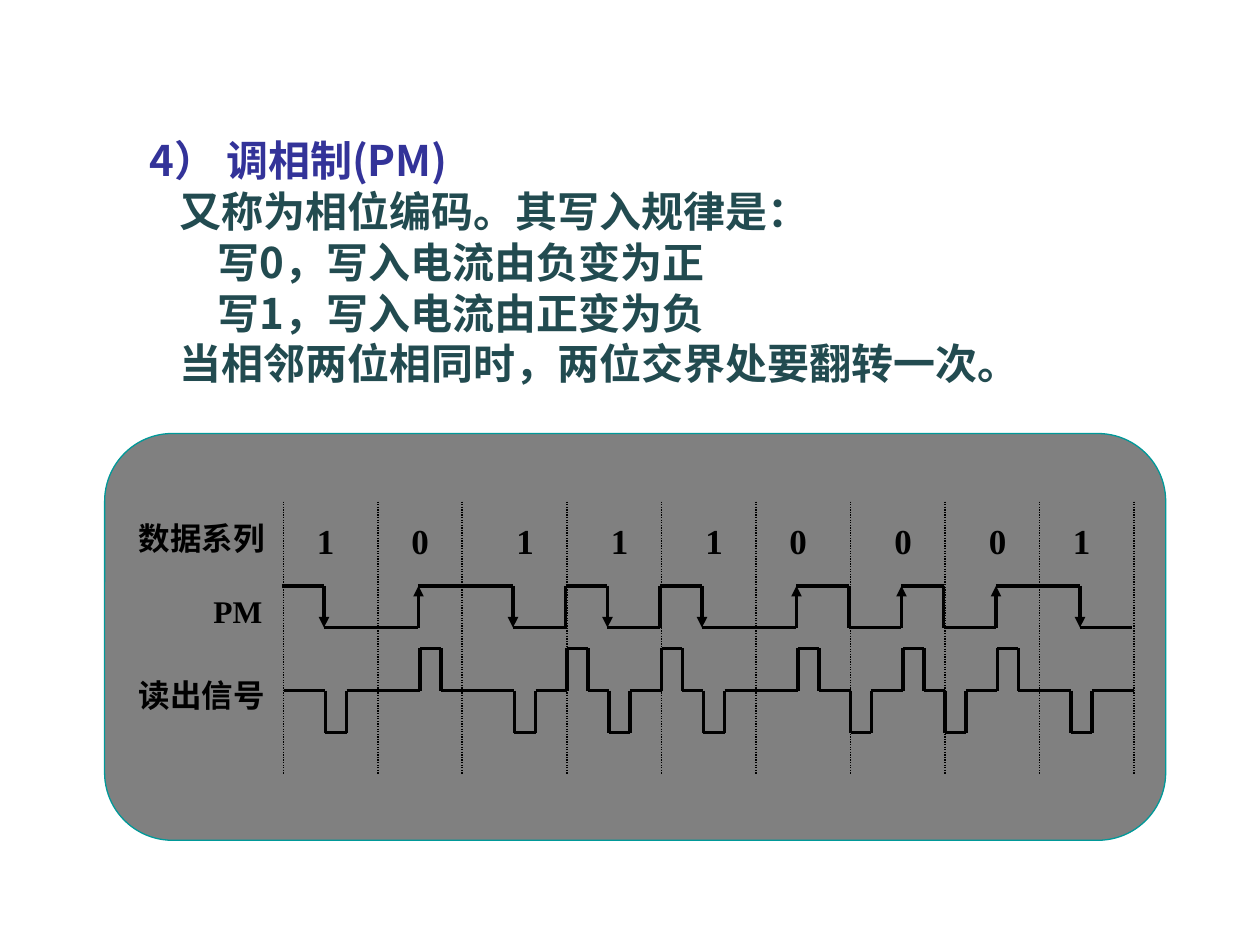
import pptx
import pptx.dml.color
import pptx.enum.dml
import pptx.enum.shapes
import pptx.enum.text
import pptx.oxml.ns
import pptx.util
from pptx.util import Cm

COLORS = {
    "heading": "333399",
    "body": "224B50",
    "ink": "000000",
    "panel": "808080",
    "panel_edge": "009999",
}
SANS, SERIF = "Noto Sans CJK SC", "Times New Roman"

# The timing diagram lies on a grid of twelfths of an inch.
UNIT = 2.54 / 12
LEFT = 27 * UNIT
CELL_EDGES = [0, 9, 17, 27, 36, 45, 54, 63, 72, 81]
DIGITS = [(2, "1"), (11, "0"), (21, "1"), (30, "1"), (39, "1"),
          (47, "0"), (57, "0"), (66, "0"), (74, "1")]
DATA_FLIPS = [4, 13, 22, 31, 40, 49, 59, 68, 76]
BOUNDARY_FLIPS = [27, 36, 54, 63]
PM_HIGH, PM_LOW = 11.81, 12.65
READ_BASE, PULSE_HEIGHT, PULSE_WIDTH = 13.92, 0.85, 2


def rgb(name):
    return pptx.dml.color.RGBColor.from_string(COLORS[name])


def grid_x(units):
    return LEFT + units * UNIT


class SlideBuilder:
    """Holds the shared style and the slide being filled; lengths are in cm."""

    def __init__(self, slide, ink="ink", line_width=2):
        self.slide = slide
        self.ink = ink
        self.line_width = line_width

    def panel(self, left, top, width, height):
        shape = self.slide.shapes.add_shape(
            pptx.enum.shapes.MSO_SHAPE.FLOWCHART_ALTERNATE_PROCESS,
            Cm(left), Cm(top), Cm(width), Cm(height))
        shape.shadow.inherit = False
        shape.fill.solid()
        shape.fill.fore_color.rgb = rgb("panel")
        shape.line.color.rgb = rgb("panel_edge")
        shape.line.width = pptx.util.Pt(0.75)

    def line(self, start, end, width=None, dash=None, arrow=False):
        connector = self.slide.shapes.add_connector(
            pptx.enum.shapes.MSO_CONNECTOR.STRAIGHT,
            Cm(start[0]), Cm(start[1]), Cm(end[0]), Cm(end[1]))
        connector.line.color.rgb = rgb(self.ink)
        connector.line.width = pptx.util.Pt(width or self.line_width)
        if dash:
            connector.line.dash_style = dash
        if arrow:
            tail = pptx.oxml.parse_xml(
                f'<a:tailEnd {pptx.oxml.ns.nsdecls("a")} type="triangle"/>')
            connector.line._get_or_add_ln().append(tail)
        connector._element.spPr.append(
            pptx.oxml.parse_xml(f'<a:effectLst {pptx.oxml.ns.nsdecls("a")}/>'))

    def trace(self, points, arrow_xs=()):
        """Join points; upright segments at arrow_xs end in an arrowhead."""
        for start, end in zip(points, points[1:]):
            arrow = start[0] == end[0] and start[0] in arrow_xs
            self.line(start, end, arrow=arrow)

    def text_box(self, left, top, width, height, wrap=False):
        box = self.slide.shapes.add_textbox(
            Cm(left), Cm(top), Cm(width), Cm(height))
        box.text_frame.word_wrap = wrap
        return box.text_frame

    def label(self, text, left, top, width, height, size=18, align="RIGHT"):
        frame = self.text_box(left, top, width, height)
        write(frame.paragraphs[0], text, size=size, font=SERIF, align=align)


def write(paragraph, text, size=24, font=SANS, color="ink", align="LEFT",
          indent=0, spacing=None):
    paragraph.alignment = getattr(pptx.enum.text.PP_ALIGN, align)
    properties = paragraph._p.get_or_add_pPr()
    properties.set("marL", str(Cm(indent)))
    properties.set("indent", "0")
    if spacing:
        paragraph.line_spacing = pptx.util.Pt(spacing)
    run = paragraph.add_run()
    run.text = text
    run.font.size = pptx.util.Pt(size)
    run.font.bold = True
    run.font.name = font
    run.font.color.rgb = rgb(color)
    east_asian = pptx.oxml.parse_xml(
        f'<a:ea {pptx.oxml.ns.nsdecls("a")} typeface="{SANS}"/>')
    run.font._element.append(east_asian)


def add_explanation(builder):
    frame = builder.text_box(2.77, 2.59, 20.4, 6.2, wrap=True)
    lines = [
        ("4） 调相制(PM)", "heading", 0),
        ("又称为相位编码。其写入规律是：", "body", 0.6),
        ("写0，写入电流由负变为正", "body", 1.37),
        ("写1，写入电流由正变为负", "body", 1.37),
        ("当相邻两位相同时，两位交界处要翻转一次。", "body", 0.6),
    ]
    for index, (text, color, indent) in enumerate(lines):
        paragraph = frame.add_paragraph() if index else frame.paragraphs[0]
        write(paragraph, text, color=color, indent=indent, spacing=29)


def add_grid(builder):
    for edge in CELL_EDGES:
        builder.line((grid_x(edge), 10.11), (grid_x(edge), 15.62), width=0.75,
                     dash=pptx.enum.dml.MSO_LINE.ROUND_DOT)
    for left, digit in DIGITS:
        builder.label(digit, grid_x(left), 10.34, 0.86, 1.12, size=20,
                      align="LEFT")


def add_waveforms(builder):
    shift = -0.03
    level, other = PM_HIGH, PM_LOW
    pm_points = [(grid_x(0) + shift, level)]
    read_points = [(grid_x(0), READ_BASE)]
    for flip in sorted(DATA_FLIPS + BOUNDARY_FLIPS):
        x = grid_x(flip) + shift
        pm_points += [(x, level), (x, other)]
        level, other = other, level

        pulse = 75 if flip == DATA_FLIPS[-1] else flip
        start, end = grid_x(pulse), grid_x(pulse + PULSE_WIDTH)
        sign = 1 if level == PM_LOW else -1
        peak = READ_BASE + sign * PULSE_HEIGHT
        read_points += [(start, READ_BASE), (start, peak),
                        (end, peak), (end, READ_BASE)]
    pm_points.append((grid_x(CELL_EDGES[-1]) + shift, level))
    read_points.append((grid_x(CELL_EDGES[-1]), READ_BASE))
    builder.trace(pm_points, [grid_x(flip) + shift for flip in DATA_FLIPS])
    builder.trace(read_points)


def main():
    presentation = pptx.Presentation()
    presentation.slide_width, presentation.slide_height = Cm(25.4), Cm(19.05)
    slide = presentation.slides.add_slide(presentation.slide_layouts[6])
    builder = SlideBuilder(slide)

    add_explanation(builder)
    builder.panel(2.11, 8.74, 21.39, 8.2)
    add_grid(builder)
    add_waveforms(builder)
    builder.label("数据系列", 2.54, 10.34, 3.05, 1.02)
    builder.label("PM", 4.04, 11.81, 1.5, 1.02)
    builder.label("读出信号", 2.54, 13.51, 3.05, 1.02)
    presentation.save("out.pptx")


if __name__ == "__main__":
    main()
